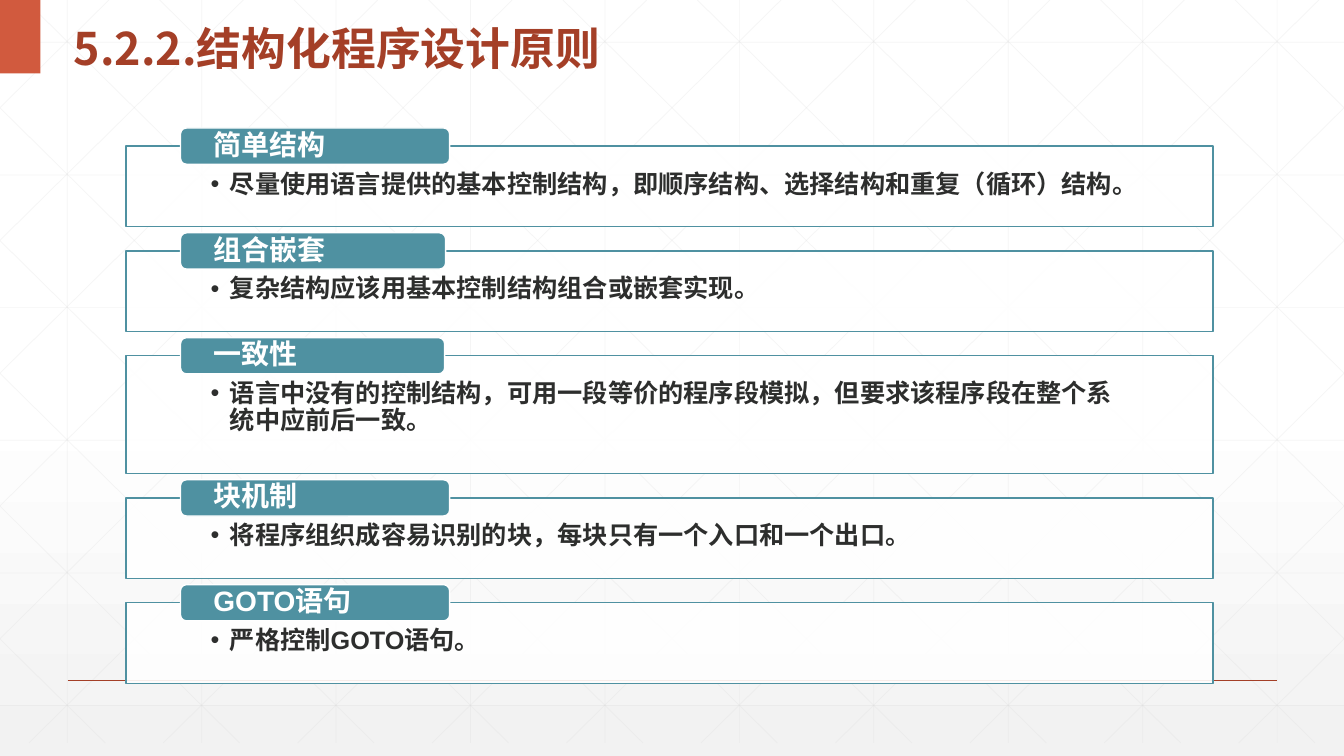
from lxml.etree import SubElement
from pptx import Presentation
from pptx.dml.color import RGBColor
from pptx.enum.shapes import MSO_CONNECTOR, MSO_SHAPE
from pptx.enum.text import MSO_ANCHOR, MSO_AUTO_SIZE, PP_ALIGN
from pptx.oxml.ns import qn
from pptx.util import Inches, Pt

WHITE = RGBColor(0xFF, 0xFF, 0xFF)
PALE_GRAY = RGBColor(0xF2, 0xF2, 0xF2)
GRID_GRAY = RGBColor(0xD9, 0xD9, 0xD9)
BRICK = RGBColor(0xA4, 0x3F, 0x27)
ORANGE = RGBColor(0xD1, 0x5A, 0x3E)
TEAL = RGBColor(0x4F, 0x91, 0xA1)
INK = RGBColor(0x2D, 0x2E, 0x2D)
CJK_FONT = "Noto Sans CJK SC"
WIDTH, HEIGHT = 13.33, 7.5

# Heading, rule, box height, tab width
PRINCIPLES = [
    ("简单结构", "尽量使用语言提供的基本控制结构，即顺序结构、选择结构和重复（循环）结构。", 0.8, 2.67),
    ("组合嵌套", "复杂结构应该用基本控制结构组合或嵌套实现。", 0.8, 2.63),
    ("一致性", "语言中没有的控制结构，可用一段等价的程序段模拟，但要求该程序段在整个系统中应前后一致。", 1.17, 2.62),
    ("块机制", "将程序组织成容易识别的块，每块只有一个入口和一个出口。", 0.8, 2.67),
    ("GOTO语句", "严格控制GOTO语句。", 0.8, 2.67),
]


def set_alpha(fill_parent, percent):
    color = fill_parent.find(qn("a:solidFill"))[0]
    SubElement(color, qn("a:alpha"), val=str(percent * 1000))


def add_line(slide, start, end, color, weight, alpha=None):
    line = slide.shapes.add_connector(
        MSO_CONNECTOR.STRAIGHT, *[Inches(v) for v in (*start, *end)])
    line.line.color.rgb = color
    line.line.width = Pt(weight)
    properties = line.element.spPr
    if alpha:
        set_alpha(properties.find(qn("a:ln")), alpha)
    SubElement(properties, qn("a:effectLst"))


def add_panel(slide, kind, box, fill, outline=None):
    panel = slide.shapes.add_shape(kind, *[Inches(v) for v in box])
    panel.shadow.inherit = False
    panel.fill.solid()
    panel.fill.fore_color.rgb = fill
    if outline is None:
        panel.line.fill.background()
    else:
        panel.line.color.rgb = outline
        panel.line.width = Pt(1)
    return panel


def write(shape, text, insets, anchor, spacing, size, color, font_name, bullet=False):
    frame = shape.text_frame
    left, top, right, bottom = [Inches(v) for v in insets]
    frame_format = {
        "word_wrap": True, "auto_size": MSO_AUTO_SIZE.NONE, "vertical_anchor": anchor,
        "margin_left": left, "margin_top": top,
        "margin_right": right, "margin_bottom": bottom,
    }
    for name, value in frame_format.items():
        setattr(frame, name, value)
    paragraph = frame.paragraphs[0]
    paragraph.alignment = PP_ALIGN.LEFT
    paragraph.line_spacing = spacing
    if bullet:
        properties = paragraph._p.get_or_add_pPr()
        properties.set("marL", str(Inches(0.19)))
        properties.set("indent", str(-Inches(0.19)))
        SubElement(properties, qn("a:buFont"), typeface="Arial")
        SubElement(properties, qn("a:buChar"), char="•")
    run = paragraph.add_run()
    run.text = text
    for name, value in {"size": Pt(size), "bold": True, "name": font_name}.items():
        setattr(run.font, name, value)
    run.font.color.rgb = color
    SubElement(run.font._element, qn("a:ea"), typeface=CJK_FONT)
    return paragraph


def add_background(slide):
    fill = slide.background.fill
    fill.gradient()
    fill.gradient_angle = 270
    for stop, position, color in zip(fill.gradient_stops, (0.53, 1), (WHITE, PALE_GRAY)):
        stop.position = position
        stop.color.rgb = color


def add_grid(slide, width, height):
    step = 4 / 3
    run = 7.46  # horizontal reach of a full diagonal
    style = (GRID_GRAY, 0.5, 25)
    for column in range(10):
        x = step * (column + 0.5)
        add_line(slide, (x, 0), (x, height), *style)
    for row in range(6):
        y = 0.42 + 1.316 * row
        add_line(slide, (0, y), (width, y), *style)
    # Diagonals clipped to the sides, each with its mirror image
    for column in range(-5, 10):
        origin = 0.25 + step * column
        ends = [(x, (x - origin) * height / run)
                for x in (max(origin, 0), min(origin + run, width))]
        add_line(slide, *ends, *style)
        add_line(slide, *[(width - x, y) for x, y in ends], *style)


def add_title(slide, left, top, width, height):
    title = slide.shapes.title
    box = {"left": left, "top": top, "width": width, "height": height}
    for name, value in box.items():
        setattr(title, name, Inches(value))
    write(title, "5.2.2.结构化程序设计原则", (0.1, 0.05, 0.1, 0.05),
          MSO_ANCHOR.MIDDLE, 1.3, 32, BRICK, CJK_FONT)
    title.element.getparent().append(title.element)  # in front of the grid


def add_principle(slide, left, top, width, height, heading, rule, tab_width):
    # Framed rule
    frame = add_panel(slide, MSO_SHAPE.RECTANGLE, (left, top, width, height), WHITE, TEAL)
    set_alpha(frame.element.spPr, 90)
    write(frame, rule, (0.84, 0.25, 0.84, 0.14), MSO_ANCHOR.TOP, 0.9, 18, INK,
          "Arial", bullet=True)
    # Heading tab over the top edge
    tab = add_panel(slide, MSO_SHAPE.ROUNDED_RECTANGLE,
                    (left + 0.54, top - 0.18, tab_width, 0.36), TEAL, WHITE)
    write(tab, heading, (0.31, 0, 0.31, 0), MSO_ANCHOR.MIDDLE, 0.9, 20, WHITE, "Arial")


def add_principles(slide, left, top, width, gap):
    for heading, rule, height, tab_width in PRINCIPLES:
        add_principle(slide, left, top, width, height, heading, rule, tab_width)
        top += height + gap


def main():
    deck = Presentation()
    deck.slide_width, deck.slide_height = Inches(WIDTH), Inches(HEIGHT)
    slide = deck.slides.add_slide(deck.slide_layouts[5])
    add_background(slide)
    add_grid(slide, WIDTH, 7.37)
    # Footer rule and corner block
    add_line(slide, (0.67, 6.75), (12.67, 6.75), BRICK, 1)
    add_panel(slide, MSO_SHAPE.RECTANGLE, (0, 0, 0.4, 0.73), ORANGE)
    add_title(slide, 0.63, 0.03, 7.04, 0.73)
    add_principles(slide, 1.25, 1.45, 10.78, 0.24)
    deck.save("out.pptx")


if __name__ == "__main__":
    main()
